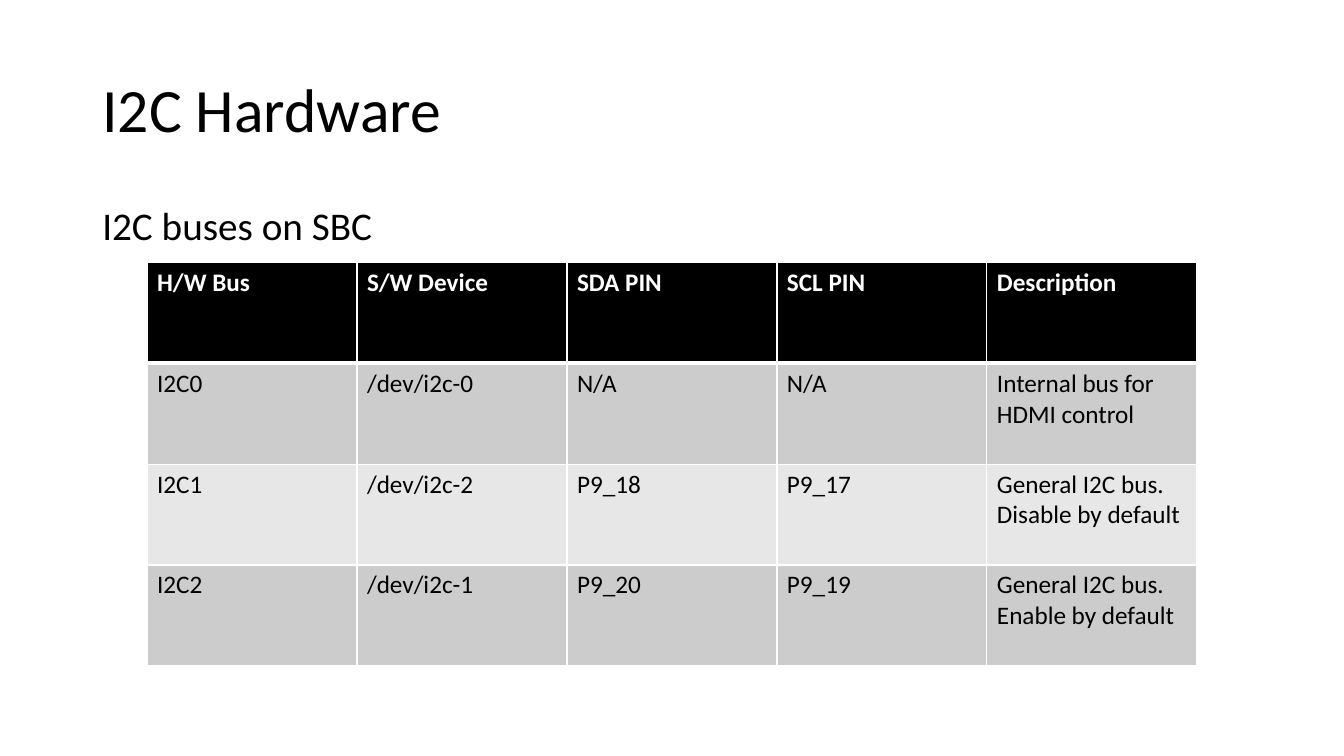
import pptx
import pptx.dml.color
import pptx.enum.text
import pptx.oxml
import pptx.oxml.ns
import pptx.util

PX = 9525
FONT = "Calibri"
BLACK = pptx.dml.color.RGBColor(0x00, 0x00, 0x00)
WHITE = pptx.dml.color.RGBColor(0xFF, 0xFF, 0xFF)
DARK_BAND = pptx.dml.color.RGBColor(0xCC, 0xCC, 0xCC)
LIGHT_BAND = pptx.dml.color.RGBColor(0xE7, 0xE7, 0xE7)

COLUMN_WIDTH = 200
ROW_HEIGHT = 96
BUSES = [
    ["H/W Bus", "S/W Device", "SDA PIN", "SCL PIN", "Description"],
    ["I2C0", "/dev/i2c-0", "N/A", "N/A", "Internal bus for HDMI control"],
    ["I2C1", "/dev/i2c-2", "P9_18", "P9_17", "General I2C bus.\nDisable by default"],
    ["I2C2", "/dev/i2c-1", "P9_20", "P9_19", "General I2C bus.\nEnable by default"],
]


def px(length):
    return pptx.util.Emu(length * PX)


def add_run(paragraph, text, size, color=BLACK, bold=False):
    run = paragraph.add_run()
    run.text = text
    run.font.name = FONT
    run.font.size = pptx.util.Pt(size)
    run.font.color.rgb = color
    run.font.bold = bold


def set_title(slide, text):
    title = slide.shapes.title
    title.left, title.top, title.width, title.height = map(px, (88, 38, 1104, 139))
    frame = title.text_frame
    frame.auto_size = pptx.enum.text.MSO_AUTO_SIZE.NONE
    frame.vertical_anchor = pptx.enum.text.MSO_ANCHOR.MIDDLE
    paragraph = frame.paragraphs[0]
    paragraph.alignment = pptx.enum.text.PP_ALIGN.LEFT
    paragraph.line_spacing = 0.9
    add_run(paragraph, text, 44)


def add_body(slide, text):
    frame = slide.shapes.add_textbox(*map(px, (88, 192, 1104, 457))).text_frame
    frame.word_wrap = True
    paragraph = frame.paragraphs[0]
    paragraph.line_spacing = 0.9
    paragraph.space_before = pptx.util.Pt(10)
    add_run(paragraph, text, 28)


def set_borders(cell, top, bottom):
    """Draw white borders, 1 pt at the sides and the given points above and below."""
    properties = cell._tc.get_or_add_tcPr()
    edges = (("lnL", 1), ("lnR", 1), ("lnT", top), ("lnB", bottom))
    for index, (edge, points) in enumerate(edges):
        line = pptx.oxml.parse_xml(
            f'<a:{edge} {pptx.oxml.ns.nsdecls("a")} w="{pptx.util.Pt(points)}">'
            f'<a:solidFill><a:srgbClr val="{WHITE}"/></a:solidFill></a:{edge}>'
        )
        properties.insert(index, line)


def fill_cell(cell, text, row):
    header = row == 0
    cell.fill.solid()
    cell.fill.fore_color.rgb = BLACK if header else DARK_BAND if row % 2 else LIGHT_BAND
    set_borders(cell, top=3 if row == 1 else 1, bottom=3 if header else 1)
    frame = cell.text_frame
    for index, line in enumerate(text.split("\n")):
        paragraph = frame.add_paragraph() if index else frame.paragraphs[0]
        add_run(paragraph, line, 18, WHITE if header else BLACK, header)


def add_bus_table(slide):
    rows, columns = len(BUSES), len(BUSES[0])
    table = slide.shapes.add_table(
        rows, columns, px(140), px(250), px(columns * COLUMN_WIDTH), px(rows * ROW_HEIGHT)
    ).table
    for row, texts in enumerate(BUSES):
        for column, text in enumerate(texts):
            fill_cell(table.cell(row, column), text, row)


def main():
    presentation = pptx.Presentation()
    presentation.slide_width = px(1280)
    presentation.slide_height = px(720)
    slide = presentation.slides.add_slide(presentation.slide_layouts[5])
    set_title(slide, "I2C Hardware")
    add_body(slide, "I2C buses on SBC")
    add_bus_table(slide)
    presentation.save("out.pptx")


if __name__ == "__main__":
    main()
